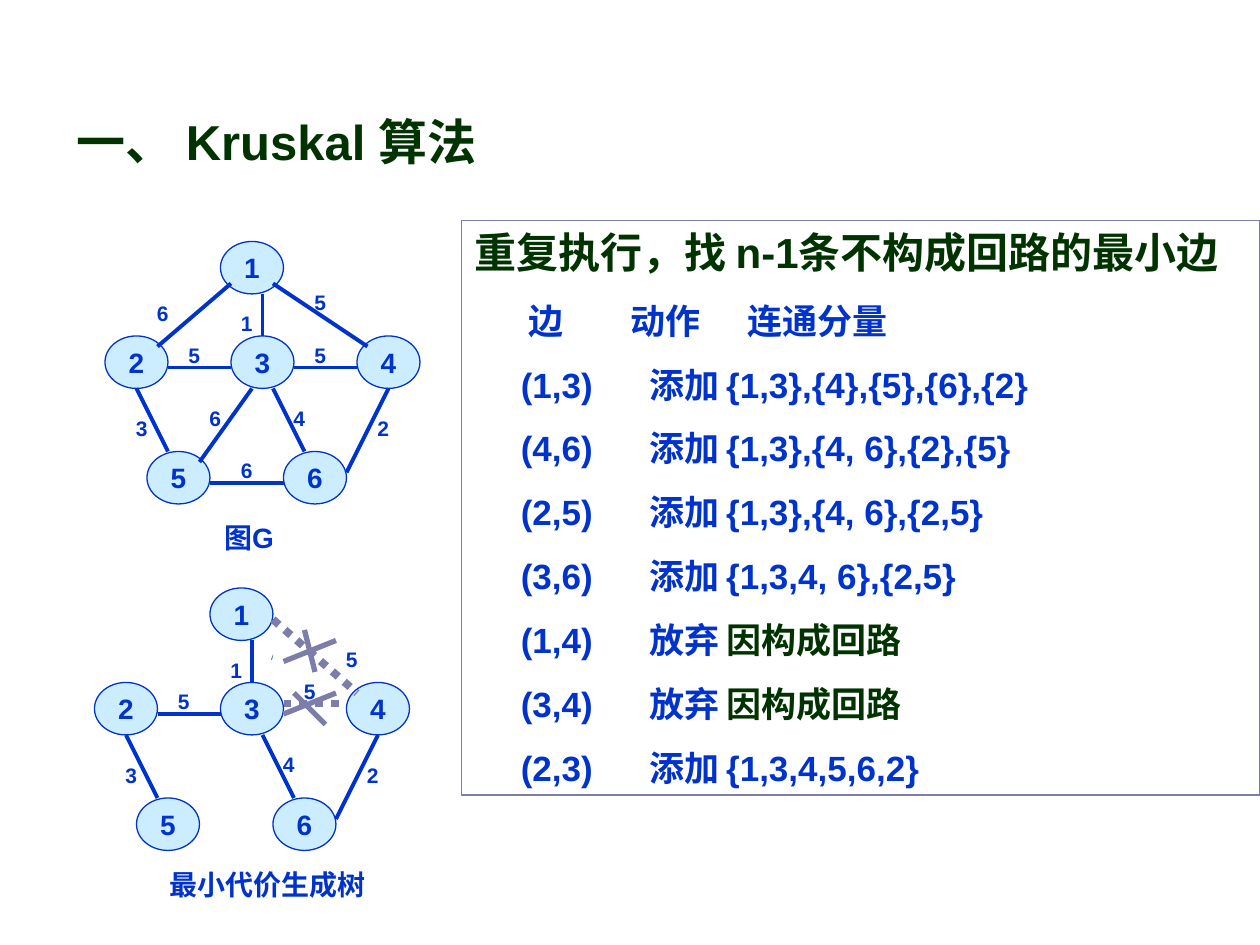
from lxml.etree import SubElement
from pptx import Presentation
from pptx.dml.color import RGBColor
from pptx.enum.dml import MSO_LINE
from pptx.enum.shapes import MSO_CONNECTOR, MSO_SHAPE
from pptx.enum.text import MSO_ANCHOR, MSO_AUTO_SIZE, PP_ALIGN
from pptx.oxml.ns import qn
from pptx.util import Cm, Pt

BLUE = RGBColor(0x00, 0x33, 0xCC)
PALE = RGBColor(0xCC, 0xEC, 0xFF)
GREEN = RGBColor(0x00, 0x33, 0x00)
MAUVE = RGBColor(0x7D, 0x7D, 0xA9)
TEAL = RGBColor(0x00, 0x75, 0x72)

NODES = {"1": (21, 23), "2": (10, 32), "3": (22, 32),
         "4": (34, 32), "5": (14, 43), "6": (27, 43)}
EDGES = {
    "2-3": ((16, 35), (22, 35), "5", (16, 32)),
    "3-4": ((28, 35), (34, 35), "5", (28, 32)),
    "1-3": ((25, 28), (25, 32), "1", (21, 29)),
    "2-5": ((13, 37), (16, 43), "3", (11, 39)),
    "3-5": ((19, 44), (24, 37), "6", (18, 38)),
    "3-6": ((26, 37), (29, 43), "4", (26, 38)),
    "4-6": ((33, 45), (37, 37), "2", (34, 39)),
    "5-6": ((20, 46), (27, 46), "6", (21, 43)),
    "1-2": ((15, 33), (22, 27), "6", (13, 28)),
    "1-4": ((35, 33), (26, 27), "5", (28, 27)),
}
TREE = ("2-3", "1-3", "2-5", "3-6", "4-6")
TREE_SHIFT = (-1, 33)
REJECTED = [((27, 67), (33, 67), "5", (27, 64)),
            ((26, 59), (34, 66), "5", (31, 61))]
CROSSES = [((27, 63), (32, 61)), ((29, 60), (30, 64)),
           ((27, 68), (32, 66)), ((28, 66), (31, 69))]
STEPS = [
    ("(1,3)", "添加", "{1,3},{4},{5},{6},{2}"),
    ("(4,6)", "添加", "{1,3},{4, 6},{2},{5}"),
    ("(2,5)", "添加", "{1,3},{4, 6},{2,5}"),
    ("(3,6)", "添加", "{1,3,4, 6},{2,5}"),
    ("(1,4)", "放弃", "因构成回路"),
    ("(3,4)", "放弃", "因构成回路"),
    ("(2,3)", "添加", "{1,3,4,5,6,2}"),
]
HEADER_TABS = (1.1, 3.15, 5.51)
STEP_TABS = (0.94, 3.53, 5.08)


def grid(*steps):
    """Turn steps of a twelfth of an inch into lengths."""
    return [Cm(2.54 * step / 12) for step in steps]


def shifted(point, shift):
    """Move a grid point by a shift."""
    return point[0] + shift[0], point[1] + shift[1]


def style_run(run, size, color):
    """Give a run the bold slide font."""
    run.font.name = "Arial"
    run.font.size = Pt(size)
    run.font.bold = True
    run.font.color.rgb = color


def add_label(slide, text, left, top, width, height, size,
              color=BLUE, align=PP_ALIGN.CENTER):
    """Add a one-line text box and return its paragraph."""
    frame = slide.shapes.add_textbox(left, top, width, height).text_frame
    frame.word_wrap = True
    frame.auto_size = MSO_AUTO_SIZE.SHAPE_TO_FIT_TEXT
    frame.text = text
    line = frame.paragraphs[0]
    line.alignment = align
    style_run(line.runs[0], size, color)
    return line


def add_line(slide, start, end, color=BLUE, width=2.25, dash=None):
    """Draw a straight line between two grid points."""
    line = slide.shapes.add_connector(MSO_CONNECTOR.STRAIGHT, *grid(*start, *end))
    line.line.color.rgb = color
    line.line.width = Pt(width)
    if dash:
        line.line.dash_style = dash
    SubElement(line._element.spPr, qn("a:effectLst"))


def add_node(slide, name, corner):
    """Draw a numbered graph node."""
    node = slide.shapes.add_shape(MSO_SHAPE.OVAL, *grid(*corner, 6, 5))
    node.shadow.inherit = False
    node.fill.solid()
    node.fill.fore_color.rgb = PALE
    node.line.color.rgb = BLUE
    node.line.width = Pt(0.75)
    frame = node.text_frame
    frame.word_wrap = False
    frame.vertical_anchor = MSO_ANCHOR.MIDDLE
    frame.text = name
    frame.paragraphs[0].alignment = PP_ALIGN.CENTER
    style_run(frame.paragraphs[0].runs[0], 16, BLUE)


def add_weight(slide, weight, corner):
    """Write the weight of an edge."""
    add_label(slide, weight, *grid(*corner, 5, 3.6), 12)


def add_graph(slide, edge_names, shift=(0, 0)):
    """Draw all nodes and the named edges with their weights."""
    for name, corner in NODES.items():
        add_node(slide, name, shifted(corner, shift))
    for edge in edge_names:
        start, end, weight, corner = EDGES[edge]
        add_line(slide, shifted(start, shift), shifted(end, shift))
        add_weight(slide, weight, shifted(corner, shift))


def add_rejected_edges(slide):
    """Draw the dotted edges and cross them out."""
    for start, end, weight, corner in REJECTED:
        add_line(slide, start, end, MAUVE, 4.5, MSO_LINE.ROUND_DOT)
        add_weight(slide, weight, corner)
    for start, end in CROSSES:
        add_line(slide, start, end, MAUVE, 3)


def add_ink_mark(slide):
    """Draw the tiny mark beside the first rejected edge."""
    builder = slide.shapes.build_freeform(Cm(5.46), Cm(13.31))
    builder.add_line_segments([(Cm(5.51), Cm(13.18)), (Cm(5.49), Cm(13.28))])
    mark = builder.convert_to_shape()
    mark.shadow.inherit = False
    mark.fill.solid()
    mark.fill.fore_color.rgb = TEAL
    mark.line.fill.background()


def add_row(frame, cells, tabs, last_color=BLUE):
    """Add a tabbed row whose last cell may have its own colour."""
    row = frame.add_paragraph()
    row.text = "\t" + "\t".join(cells[:-1]) + "\t"
    row.add_run().text = cells[-1]
    row.alignment = PP_ALIGN.LEFT
    row.space_before = Pt(12.5)
    stops = SubElement(row._p.get_or_add_pPr(), qn("a:tabLst"))
    for tab in tabs:
        SubElement(stops, qn("a:tab"), pos=str(Cm(tab)), algn="l")
    for run, color in zip(row.runs, (BLUE, last_color)):
        style_run(run, 20, color)


def add_steps_panel(slide):
    """Add the framed list of algorithm steps."""
    panel = slide.shapes.add_shape(
        MSO_SHAPE.RECTANGLE, Cm(9.31), Cm(4.45), Cm(16.09), Cm(11.58))
    panel.shadow.inherit = False
    panel.fill.background()
    panel.line.color.rgb = MAUVE
    panel.line.width = Pt(0.75)
    frame = panel.text_frame
    frame.word_wrap = True
    frame.auto_size = MSO_AUTO_SIZE.SHAPE_TO_FIT_TEXT
    frame.vertical_anchor = MSO_ANCHOR.TOP
    frame.text = "重复执行，找 n-1条不构成回路的最小边"
    frame.paragraphs[0].alignment = PP_ALIGN.LEFT
    style_run(frame.paragraphs[0].runs[0], 24, GREEN)
    add_row(frame, ("边", "动作", "连通分量"), HEADER_TABS)
    for step in STEPS:
        add_row(frame, step, STEP_TABS, GREEN if step[1] == "放弃" else BLUE)


def main():
    """Build the slide and save it."""
    deck = Presentation()
    deck.slide_width, deck.slide_height = Cm(25.4), Cm(19.05)
    slide = deck.slides.add_slide(deck.slide_layouts[6])
    add_graph(slide, EDGES)
    caption = add_label(slide, "图G", Cm(3.81), Cm(10.37), Cm(3.39), Cm(0.94),
                        16, align=PP_ALIGN.LEFT)
    caption._p.get_or_add_pPr().set("marL", str(Cm(0.46)))
    add_steps_panel(slide)
    add_label(slide, "最小代价生成树", Cm(2.96), Cm(17.36), Cm(4.87), Cm(0.94), 16)
    add_graph(slide, TREE, TREE_SHIFT)
    add_rejected_edges(slide)
    add_ink_mark(slide)
    add_label(slide, "一、 Kruskal 算法", Cm(1.3), Cm(2.13), Cm(10.01), Cm(1.45),
              28, GREEN, PP_ALIGN.LEFT)
    deck.save("out.pptx")


if __name__ == "__main__":
    main()
